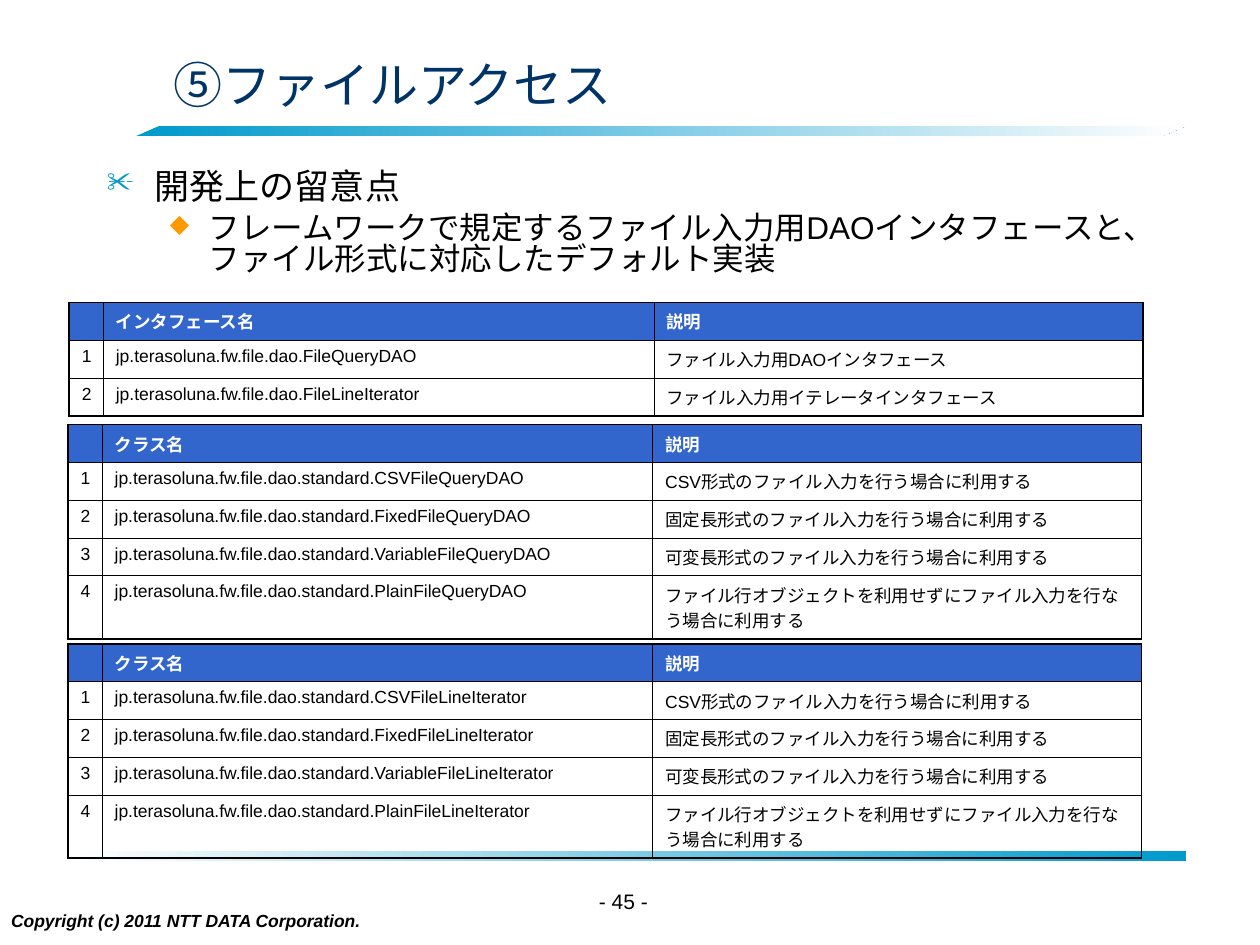
from dataclasses import dataclass

from lxml import etree
from pptx import Presentation
from pptx import util as u
from pptx.dml.color import RGBColor
from pptx.enum import shapes, text
from pptx.oxml.ns import qn


@dataclass(frozen=True)
class Theme:
    latin: str = "Arial"
    japanese: str = "Noto Sans CJK JP"
    ink: str = "000000"
    paper: str = "FFFFFF"
    title: str = "003366"
    accent: str = "0099CC"
    diamond: str = "FF9900"
    header: str = "3366CC"
    title_size: float = 28
    lead_size: float = 20
    detail_size: float = 18
    page_size: float = 12
    small_size: float = 10
    thin: float = 0.45
    thick: float = 1.08


class SlideBuilder:
    COLUMNS, ROWS = 100, 75

    def __init__(self, presentation, theme):
        self.theme = theme
        self.column = presentation.slide_width / self.COLUMNS
        self.row = presentation.slide_height / self.ROWS
        self.slide = presentation.slides.add_slide(presentation.slide_layouts[6])

    def place(self, left, top, width, height):
        return (round(left * self.column), round(top * self.row),
                round(width * self.column), round(height * self.row))

    def style(self, paragraph, size, color=None, bold=False, italic=False, latin=None):
        for run in paragraph.runs:
            font = run.font
            font.size = u.Pt(size)
            font.bold, font.italic = bold, italic
            font.color.rgb = RGBColor.from_string(color or self.theme.ink)
            font.name = latin or self.theme.latin
            etree.SubElement(run._r.get_or_add_rPr(), qn("a:ea"),
                             typeface=self.theme.japanese)

    def bar(self, box, start, end, slant):
        shape = self.slide.shapes.add_shape(
            shapes.MSO_SHAPE.PARALLELOGRAM, *self.place(*box))
        shape.shadow.inherit = False
        shape.adjustments[0] = slant
        shape.line.fill.background()
        shape.fill.gradient()
        shape.fill.gradient_angle = 0
        for stop, color in zip(shape.fill.gradient_stops, (start, end)):
            stop.color.rgb = RGBColor.from_string(color)

    def text_box(self, box, anchor=text.MSO_ANCHOR.TOP):
        frame = self.slide.shapes.add_textbox(*self.place(*box)).text_frame
        frame.word_wrap = True
        frame.vertical_anchor = anchor
        return frame

    def label(self, box, words, size, align=text.PP_ALIGN.LEFT,
              anchor=text.MSO_ANCHOR.TOP, **look):
        frame = self.text_box(box, anchor)
        frame.text = words
        paragraph = frame.paragraphs[0]
        paragraph.alignment = align
        self.style(paragraph, size, **look)

    def bullets(self, box, items):
        frame = self.text_box(box)
        for index, (words, size, mark, color, margin, hang) in enumerate(items):
            paragraph = frame.add_paragraph() if index else frame.paragraphs[0]
            paragraph.text = words
            paragraph.level = index
            properties = paragraph._p.get_or_add_pPr()
            properties.set("marL", str(round(margin * self.column)))
            properties.set("indent", str(round(-hang * self.column)))
            bullet_color = etree.SubElement(properties, qn("a:buClr"))
            etree.SubElement(bullet_color, qn("a:srgbClr"), val=color)
            etree.SubElement(properties, qn("a:buSzPct"), val="80000")
            etree.SubElement(properties, qn("a:buChar"), char=mark)
            paragraph.line_spacing = 0.83
            if index:
                paragraph.space_before = u.Pt(4.5)
            self.style(paragraph, size)

    def borders(self, cell, heavy_edges):
        properties = cell._tc.get_or_add_tcPr()
        for edge, heavy in zip("LRTB", heavy_edges):
            width = self.theme.thick if heavy else self.theme.thin
            line = etree.SubElement(properties, qn(f"a:ln{edge}"), w=str(u.Pt(width)))
            fill = etree.SubElement(line, qn("a:solidFill"))
            etree.SubElement(fill, qn("a:srgbClr"), val=self.theme.ink)

    def table(self, left, top, widths, heights, heading, entries):
        theme = self.theme
        rows = [("", heading, "説明")]
        rows += [(str(number), *entry) for number, entry in enumerate(entries, 1)]
        box = self.place(left, top, sum(widths), sum(heights))
        table = self.slide.shapes.add_table(len(rows), len(widths), *box).table
        table.first_row = table.horz_banding = False
        for column, width in zip(table.columns, widths):
            column.width = round(width * self.column)
        for row, height in zip(table.rows, heights):
            row.height = round(height * self.row)
        last_row, last_column = len(rows) - 1, len(widths) - 1
        for r, row in enumerate(rows):
            for c, words in enumerate(row):
                cell = table.cell(r, c)
                self.borders(cell, (c == 0, c == last_column, r == 0, r == last_row))
                paragraph = cell.text_frame.paragraphs[0]
                if words:
                    paragraph.text = words
                else:
                    etree.SubElement(paragraph._p, qn("a:endParaRPr"),
                                     sz=str(theme.small_size * 100))
                if r == 0:
                    cell.fill.solid()
                    cell.fill.fore_color.rgb = RGBColor.from_string(theme.header)
                    self.style(paragraph, theme.small_size, theme.paper, bold=True)
                else:
                    cell.fill.background()
                    self.style(paragraph, theme.small_size)


def main():
    presentation = Presentation()
    presentation.slide_width, presentation.slide_height = u.Inches(10), u.Inches(7.5)
    theme = Theme()
    builder = SlideBuilder(presentation, theme)

    builder.bar((10.8, 10, 83.3, 0.8), theme.accent, theme.paper, 2.35)
    builder.bar((5.8, 67.5, 88.3, 0.8), theme.paper, theme.accent, -2.28)
    builder.label((12.8, 3.3, 72.2, 6.7), "⑤ファイルアクセス", theme.title_size,
                  anchor=text.MSO_ANCHOR.MIDDLE, color=theme.title,
                  latin=theme.japanese)
    builder.bullets((7.5, 13.1, 86.7, 52.8), [
        ("開発上の留意点", theme.lead_size, "✂", theme.accent, 3.8, 3.8),
        ("フレームワークで規定するファイル入力用DAOインタフェースと、"
         "ファイル形式に対応したデフォルト実装",
         theme.detail_size, "◆", theme.diamond, 8.1, 3.1),
    ])
    builder.label((-0.1, 71.7, 44.4, 3.3), "Copyright (c) 2011 NTT DATA Corporation.",
                  theme.small_size, bold=True, italic=True)
    builder.label((44.3, 70, 8.1, 3.3), "- 45 -", theme.page_size,
                  align=text.PP_ALIGN.RIGHT)

    widths = (2.7, 43.7, 38.8)
    builder.table(5.5, 24, widths, [3] * 3, "インタフェース名", [
        ("jp.terasoluna.fw.file.dao.FileQueryDAO", "ファイル入力用DAOインタフェース"),
        ("jp.terasoluna.fw.file.dao.FileLineIterator",
         "ファイル入力用イテレータインタフェース"),
    ])
    usages = {
        "CSV": "CSV形式のファイル入力を行う場合に利用する",
        "Fixed": "固定長形式のファイル入力を行う場合に利用する",
        "Variable": "可変長形式のファイル入力を行う場合に利用する",
        "Plain": "ファイル行オブジェクトを利用せずにファイル入力を行なう場合に利用する",
    }
    for top, suffix in ((33.7, "FileQueryDAO"), (51.1, "FileLineIterator")):
        builder.table(5.4, top, widths, [3] * 4 + [5], "クラス名", [
            (f"jp.terasoluna.fw.file.dao.standard.{kind}{suffix}", usage)
            for kind, usage in usages.items()
        ])
    presentation.save("out.pptx")


if __name__ == "__main__":
    main()
